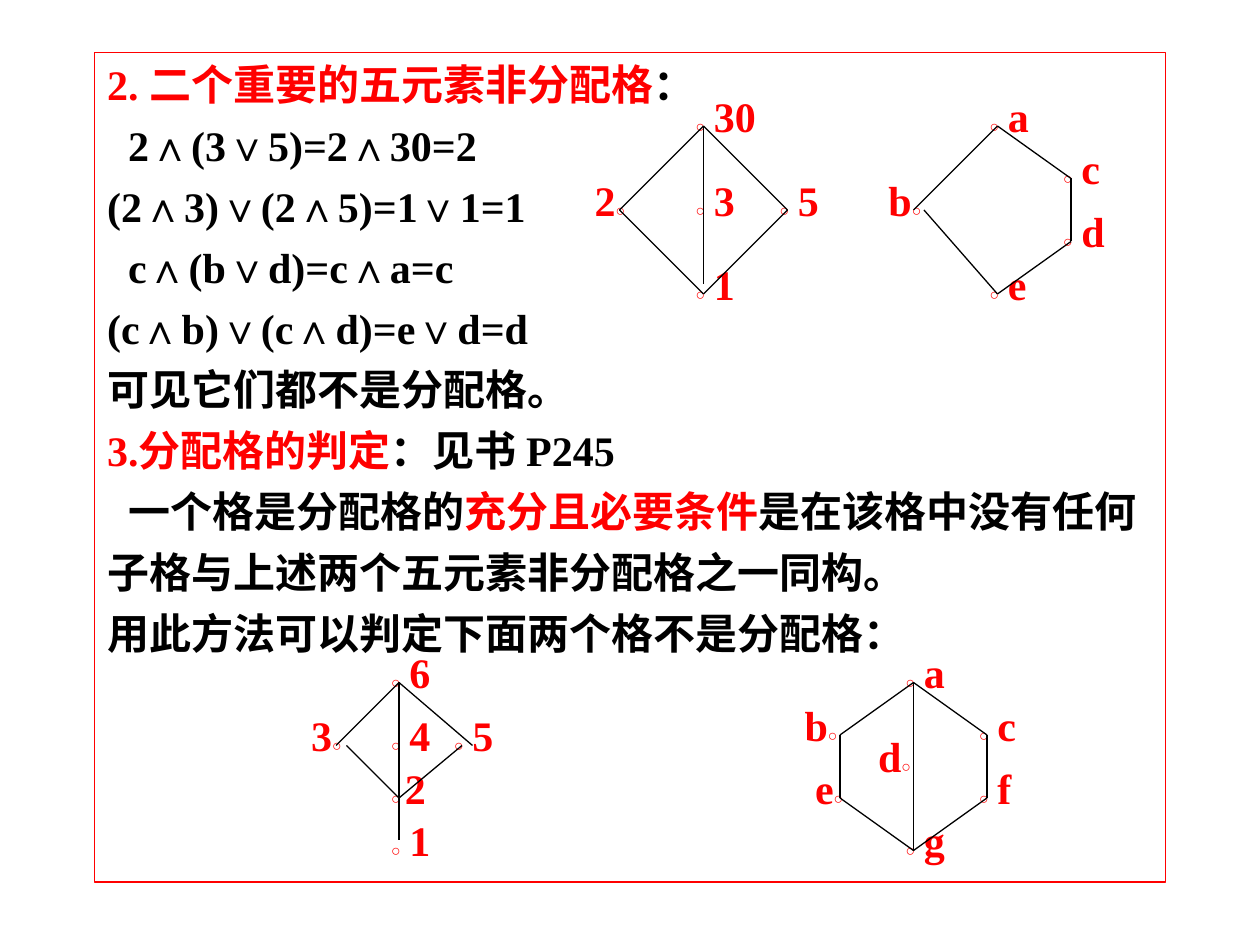
from itertools import pairwise

from lxml.etree import SubElement
from pptx import Presentation
from pptx.dml.color import RGBColor
from pptx.enum.shapes import MSO_CONNECTOR as Connector
from pptx.enum.text import MSO_ANCHOR as Anchor, MSO_AUTO_SIZE as AutoSize
from pptx.oxml.ns import qn
from pptx.util import Emu, Pt

PX = 9525  # 96 px to the inch
COLORS = {"red": "FF0000", "black": "000000"}
SERIF, SANS = "Times New Roman", "Arial"
NARROW, WIDE = 56, 72


def px(*lengths):
    return [Emu(length * PX) for length in lengths]


class LatticeSlide:
    text_size, mark_size = 24, 9
    line_width = Pt(0.75)
    hanging, lead = 36, 16

    def __init__(self, deck):
        self.slide = deck.slides.add_slide(deck.slide_layouts[1])
        title = self.slide.shapes.title
        title.element.getparent().remove(title.element)

    def color(self, name):
        return RGBColor.from_string(COLORS[name])

    def run(self, paragraph, text, color, size=text_size, font=SERIF):
        run = paragraph.add_run()
        run.text = text
        run.font.size = Pt(size)
        run.font.name = font
        run.font.bold = True
        run.font.color.rgb = self.color(color)

    def body(self, left, top, width, height, lines):
        box = self.slide.placeholders[1]
        box.left, box.top, box.width, box.height = px(left, top, width, height)
        box.line.color.rgb = self.color("red")
        box.line.width = self.line_width
        frame = box.text_frame
        frame.word_wrap = True
        frame.auto_size = AutoSize.NONE
        frame.vertical_anchor = Anchor.TOP
        for number, (indented, runs) in enumerate(lines):
            paragraph = frame.add_paragraph() if number else frame.paragraphs[0]
            properties = paragraph._p.get_or_add_pPr()
            first = self.lead if indented else 0
            properties.set("marL", str(self.hanging * PX))
            properties.set("indent", str((first - self.hanging) * PX))
            SubElement(properties, qn("a:buNone"))
            paragraph.space_before = Pt(6 if number else 0)
            for text, color in runs:
                self.run(paragraph, text, color)

    def node(self, group, name, x, y, side, width=NARROW, gap=20):
        """Place a labelled circle; side tells where the name stands."""
        left = x - (16 if side == "right" else 32)
        box = group.shapes.add_textbox(*px(left, y - 32, width, 48))
        frame = box.text_frame
        frame.word_wrap = True
        frame.auto_size = AutoSize.SHAPE_TO_FIT_TEXT
        frame.margin_left, frame.margin_right = px(10 if side == "right" else 13, 0)
        paragraph = frame.paragraphs[0]
        if side == "right":
            self.run(paragraph, "○", "red", self.mark_size, SANS)
            self.run(paragraph, " ", "red", gap)
            self.run(paragraph, name, "red")
        else:
            self.run(paragraph, name, "red")
            self.run(paragraph, "○", "red", self.mark_size, SANS)

    def edge(self, group, start, end):
        line = group.shapes.add_connector(Connector.STRAIGHT, *px(*start, *end))
        line.line.color.rgb = self.color("black")
        line.line.width = self.line_width
        SubElement(line._element.spPr, qn("a:effectLst"))

    def lattice(self, nodes, chains):
        group = self.slide.shapes.add_group_shape()
        for node in nodes:
            self.node(group, *node)
        for chain in chains:
            for start, end in pairwise(chain):
                self.edge(group, start, end)


# Text: (first line indented, runs)
LINES = [
    (False, [("2. 二个重要的五元素非分配格", "red"), ("：", "black")]),
    (True, [("2∧(3∨5)=2∧30=2", "black")]),
    (False, [("(2∧3)∨(2∧5)=1∨1=1", "black")]),
    (True, [("c∧(b∨d)=c∧a=c", "black")]),
    (False, [("(c∧b)∨(c∧d)=e∨d=d", "black")]),
    (False, [("可见它们都不是分配格。", "black")]),
    (False, [("3.分配格的判定", "red"), ("：见书 P245", "black")]),
    (True, [("一个格是分配格的", "black"), ("充分且必要条件", "red"),
            ("是在该格中没有任何", "black")]),
    (False, [("子格与上述两个五元素非分配格之一同构。", "black")]),
    (False, [("用此方法可以判定下面两个格不是分配格：", "black")]),
]

# Lattices: nodes (name, x, y, side, width, gap) and chains of edge points
DIAMOND = (
    [("3", 536, 160, "right"), ("1", 536, 224, "right", WIDE),
     ("30", 536, 96, "right", WIDE), ("2", 472, 160, "left", WIDE),
     ("5", 600, 160, "right", WIDE)],
    [[(536, 96), (600, 160), (536, 224), (472, 160), (536, 96)],
     [(536, 96), (536, 216)]],
)
PENTAGON = (
    [("d", 816, 184, "right"), ("e", 760, 224, "right"), ("a", 760, 96, "right"),
     ("b", 696, 160, "left"), ("c", 816, 136, "right")],
    [[(696, 160), (760, 96), (816, 136), (816, 184), (760, 224), (704, 160)]],
)
TAILED_DIAMOND = (
    [("4", 304, 568, "right"), ("1", 304, 648, "right", WIDE),
     ("6", 304, 520, "right", WIDE), ("3", 256, 568, "left", WIDE),
     ("5", 352, 568, "right", WIDE), ("2", 304, 608, "right", NARROW, 10)],
    [[(256, 568), (304, 520), (360, 568)],
     [(264, 568), (304, 608), (352, 568)],
     [(304, 520), (304, 640)]],
)
HEXAGON = (
    [("f", 752, 608, "right"), ("g", 696, 648, "right"), ("a", 696, 520, "right"),
     ("d", 688, 584, "left"), ("c", 752, 560, "right"), ("e", 640, 608, "left"),
     ("b", 632, 560, "left")],
    [[(696, 520), (752, 560), (752, 608), (696, 648),
      (640, 608), (640, 560), (696, 520)],
     [(696, 520), (696, 648)]],
)


def main():
    deck = Presentation()
    deck.slide_width, deck.slide_height = px(960, 720)
    page = LatticeSlide(deck)
    page.body(72, 40, 816, 632, LINES)
    for nodes, chains in (DIAMOND, PENTAGON, TAILED_DIAMOND, HEXAGON):
        page.lattice(nodes, chains)
    deck.save("out.pptx")


if __name__ == "__main__":
    main()
